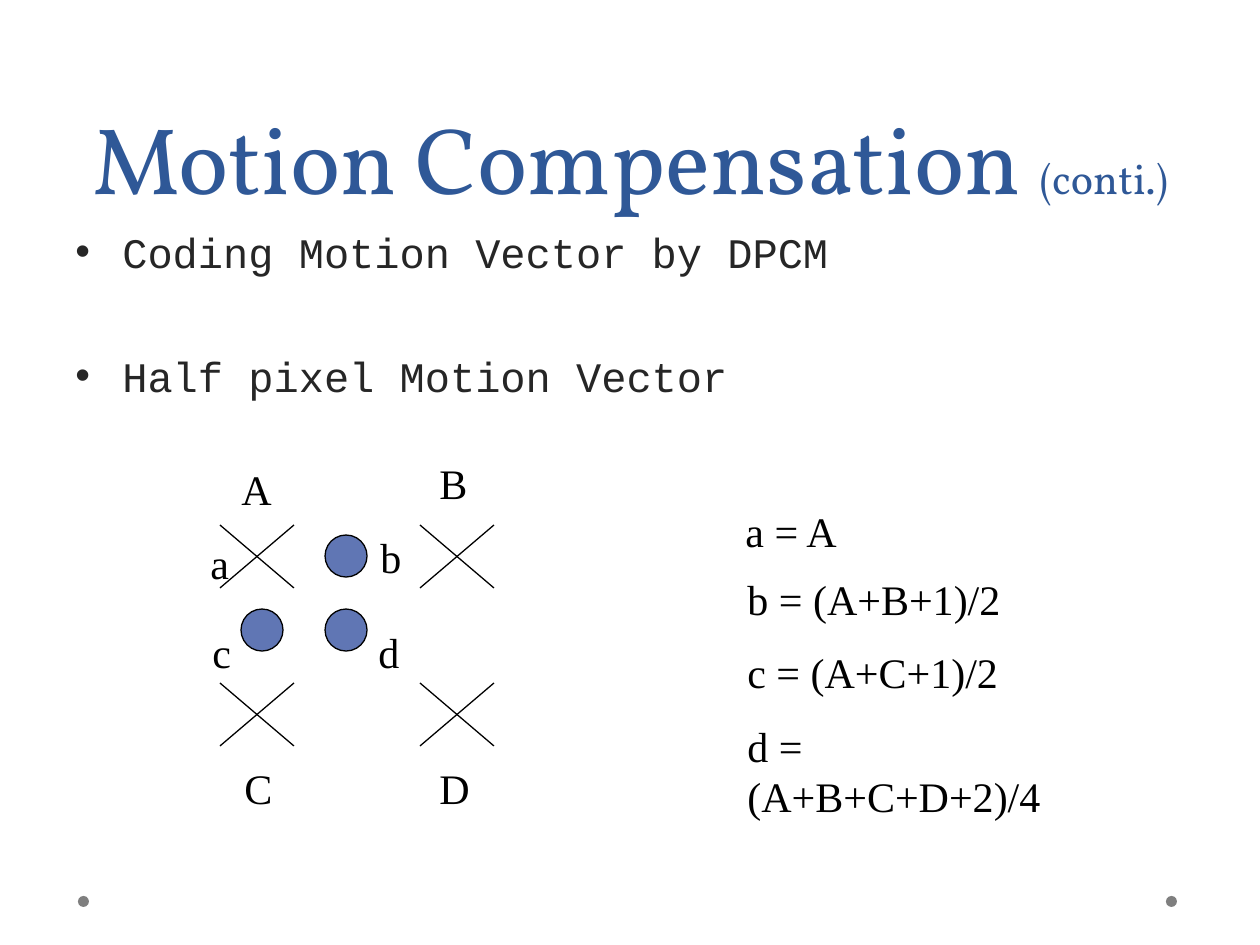
"""Build the slide on motion compensation with half pixel motion vectors."""
import itertools

import lxml.etree
import pptx
import pptx.dml.color
import pptx.enum.shapes
import pptx.enum.text
import pptx.oxml.ns
import pptx.util

PX = 914400 / 126
COLORS = {"title": "2F5897", "body": "262626", "ink": "000000", "pixel": "6076B4", "dot": "7F7F7F"}

deck = pptx.Presentation()
deck.slide_width = pptx.util.Inches(10)
deck.slide_height = pptx.util.Inches(7.5)
page = deck.slides.add_slide(deck.slide_layouts[6])


def color(name):
    return pptx.dml.color.RGBColor.from_string(COLORS[name])


def emu(*lengths):
    return [round(length * PX) for length in lengths]


for left in (1166, 78):
    dot = page.shapes.add_shape(pptx.enum.shapes.MSO_SHAPE.OVAL, *emu(left, 896, 11, 11))
    dot.shadow.inherit = False
    dot.fill.solid()
    dot.fill.fore_color.rgb = color("dot")
    dot.line.fill.background()

title = page.shapes.add_textbox(*emu(63, 0, 1134, 220)).text_frame
title.word_wrap = True
title.vertical_anchor = pptx.enum.text.MSO_ANCHOR.BOTTOM
para = title.paragraphs[0]
para.alignment = pptx.enum.text.PP_ALIGN.CENTER
para.line_spacing = pptx.util.Pt(58)
para.font.name = "Vollkorn"
para.font.color.rgb = color("title")
for text, size in (("Motion Compensation ", 54), ("(conti.)", 24)):
    span = para.add_run()
    span.text = text
    span.font.size = pptx.util.Pt(size)
    span.font.name = "Vollkorn"
    span.font.color.rgb = color("title")

body = page.shapes.add_textbox(*emu(63, 220, 1134, 241)).text_frame
body.word_wrap = True
bullets = (("Coding Motion Vector by DPCM", 6), ("Half pixel Motion Vector", 42))
for index, (text, gap) in enumerate(bullets):
    para = body.add_paragraph() if index else body.paragraphs[0]
    para.text = text
    para.space_before = pptx.util.Pt(gap)
    para.font.name = "Courier New"
    para.font.size = pptx.util.Pt(24)
    para.font.color.rgb = color("body")
    properties = para._p.get_or_add_pPr()
    indent = round(47 * PX)
    properties.set("marL", str(indent))
    properties.set("indent", str(-indent))
    bullet_font = lxml.etree.Element(pptx.oxml.ns.qn("a:buFont"), typeface="Arial")
    bullet = lxml.etree.Element(pptx.oxml.ns.qn("a:buChar"), char="•")
    spacing = properties.find(pptx.oxml.ns.qn("a:spcBef"))
    spacing.addnext(bullet_font)
    bullet_font.addnext(bullet)

for left, top in itertools.product((220, 420), (525, 683)):
    for start, end in ((top, top + 63), (top + 63, top)):
        stroke = page.shapes.add_connector(
            pptx.enum.shapes.MSO_CONNECTOR.STRAIGHT, *emu(left, start, left + 74, end))
        stroke.line.color.rgb = color("ink")
        stroke.line.width = pptx.util.Pt(0.75)
        lxml.etree.SubElement(stroke._element.spPr, pptx.oxml.ns.qn("a:effectLst"))

for left, top in ((325, 535), (241, 609), (325, 609)):
    pixel = page.shapes.add_shape(pptx.enum.shapes.MSO_SHAPE.OVAL, *emu(left, top, 42, 42))
    pixel.shadow.inherit = False
    pixel.fill.solid()
    pixel.fill.fore_color.rgb = color("pixel")
    pixel.line.color.rgb = color("ink")
    pixel.line.width = pptx.util.Pt(0.75)

labels = (
    ("A", 229, 457, 55), ("B", 427, 451, 53), ("C", 232, 756, 53), ("D", 427, 756, 55),
    ("a", 198, 531, 44), ("b", 368, 525, 45), ("c", 200, 620, 44), ("d", 366, 620, 45),
    ("a = A", 733, 499, 118), ("b = (A+B+1)/2", 735, 567, 278),
    ("c = (A+C+1)/2", 735, 640, 276), ("d = (A+B+C+D+2)/4", 735, 714, 383),
)
for text, left, top, width in labels:
    box = page.shapes.add_textbox(*emu(left, top, width, 63))
    box.text_frame.word_wrap = False
    box.text_frame.auto_size = pptx.enum.text.MSO_AUTO_SIZE.SHAPE_TO_FIT_TEXT
    para = box.text_frame.paragraphs[0]
    para.text = text
    para.font.name = "Times New Roman"
    para.font.size = pptx.util.Pt(24)
    para.font.color.rgb = color("ink")

deck.save("out.pptx")
